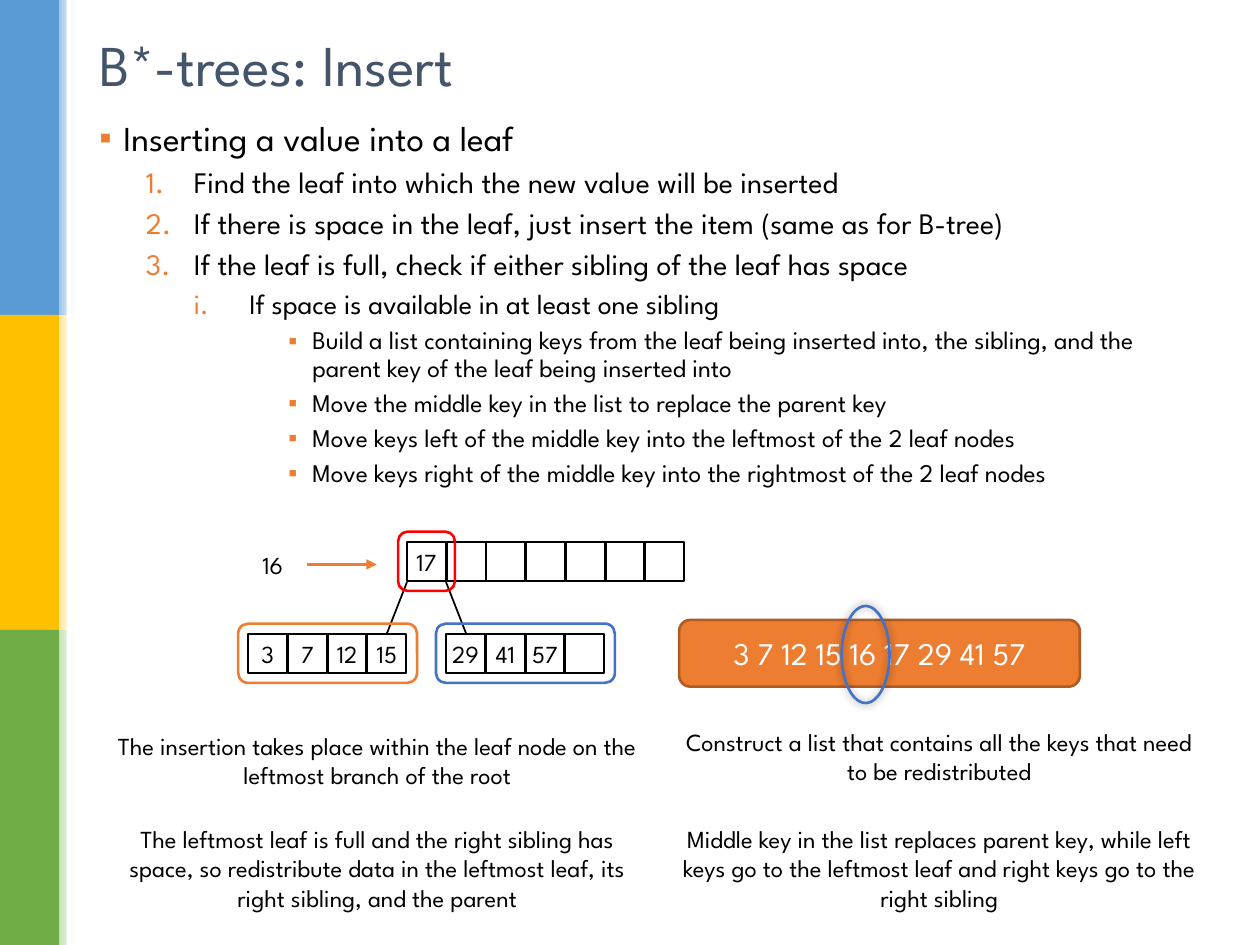
import pptx
import pptx.util
import pptx.dml.color
import pptx.enum.shapes
import pptx.enum.text
import pptx.oxml
import pptx.oxml.ns

Inches, Pt = pptx.util.Inches, pptx.util.Pt
SHAPE = pptx.enum.shapes.MSO_SHAPE
ALIGN = pptx.enum.text.PP_ALIGN
ANCHOR = pptx.enum.text.MSO_ANCHOR

THEME = {
    "font": "League Spartan",
    "title": "44546A", "text": "000000", "light": "FFFFFF",
    "accent": "ED7D31", "accent_dark": "AF5C24", "blue": "4472C4", "red": "FF0000",
    "title_size": 33, "list_size": 18, "small_size": 14,
    "cell_line": 1.25, "branch_line": 1, "mark_line": 1.5,
}

# solid colour, start of its fading edge; top to bottom
SIDEBAR = [("5B9BD5", "9DC3E6"), ("FFC000", "FFE699"), ("70AD47", "C5E0B4")]

TITLE = "B*-trees: Insert"
# outline style, text
OUTLINE = [
    ("topic", "Inserting a value into a leaf"),
    ("step", "Find the leaf into which the new value will be inserted"),
    ("step", "If there is space in the leaf, just insert the item (same as for B-tree)"),
    ("step", "If the leaf is full, check if either sibling of the leaf has space"),
    ("case", "If space is available in at least one sibling"),
    ("action", "Build a list containing keys from the leaf being inserted into, "
               "the sibling, and the parent key of the leaf being inserted into"),
    ("action", "Move the middle key in the list to replace the parent key"),
    ("action", "Move keys left of the middle key into the leftmost of the 2 leaf nodes"),
    ("action", "Move keys right of the middle key into the rightmost of the 2 leaf nodes"),
]
SQUARE = '<a:buFont typeface="Arial"/><a:buChar char="▪"/>'
NUMBER = '<a:buFont typeface="+mj-lt"/><a:buAutoNum type="%s"/>'
# level, left indent, hanging indent, size, bullet
OUTLINE_STYLES = {
    "topic": (0, 0.19, 0.19, 20, SQUARE),
    "step": (1, 0.75, 0.38, 17, NUMBER % "arabicPeriod"),
    "case": (2, 1.19, 0.44, 16, NUMBER % "romanLcPeriod"),
    "action": (4, 1.69, 0.19, 14.5, SQUARE),
}

CELL, PITCH = 0.31, 0.315
ROOT_TOP, LEAF_TOP = 4.3, 5.03
# left, top, keys
NODES = [
    (3.23, ROOT_TOP, ["17"] + [""] * 6),
    (1.97, LEAF_TOP, ["3", "7", "12", "15"]),
    (3.54, LEAF_TOP, ["29", "41", "57", ""]),
]
BRANCHES = [(3.23, 3.07), (3.54, 3.7)]
NEW_KEY = "16"
KEY_LIST = "3 7 12 15 16 17 29 41 57"
# box, colour
HIGHLIGHTS = [
    ((1.89, 4.95, 1.42, 0.47), "accent"),
    ((3.46, 4.95, 1.42, 0.47), "blue"),
    ((3.16, 4.22, 0.45, 0.47), "red"),
]
CAPTIONS = [
    ((0.83, 5.75, 4.33, 0.57),
     "The insertion takes place within the leaf node on the leftmost branch of the root"),
    ((0.83, 6.49, 4.33, 0.81),
     "The leftmost leaf is full and the right sibling has space, so redistribute data "
     "in the leftmost leaf, its right sibling, and the parent"),
    ((5.29, 5.72, 4.33, 0.57),
     "Construct a list that contains all the keys that need to be redistributed"),
    ((5.29, 6.49, 4.33, 0.81),
     "Middle key in the list replaces parent key, while left keys go to the leftmost "
     "leaf and right keys go to the right sibling"),
]


def rgb(colour):
    return pptx.dml.color.RGBColor.from_string(THEME.get(colour, colour))


def xml(tag, body="", attributes=""):
    return pptx.oxml.parse_xml(
        f'<a:{tag} {pptx.oxml.ns.nsdecls("a")} {attributes}>{body}</a:{tag}>')


def write(paragraph, text, size=THEME["small_size"], colour="text", align=ALIGN.CENTER):
    paragraph.alignment = align
    run = paragraph.add_run()
    run.text = text
    run.font.name = THEME["font"]
    run.font.size = Pt(size)
    run.font.color.rgb = rgb(colour)


def add_block(slide, box, kind=SHAPE.RECTANGLE, fill=None, line=None, width=THEME["mark_line"]):
    block = slide.shapes.add_shape(kind, *map(Inches, box))
    block.shadow.inherit = False
    if fill:
        block.fill.solid()
        block.fill.fore_color.rgb = rgb(fill)
    else:
        block.fill.background()
    if line:
        block.line.color.rgb = rgb(line)
        block.line.width = Pt(width)
    else:
        block.line.fill.background()
    return block


def add_text_box(slide, box):
    frame = slide.shapes.add_textbox(*map(Inches, box)).text_frame
    frame.word_wrap = True
    return frame


def add_line(slide, start, end, colour, width):
    line = slide.shapes.add_connector(
        pptx.enum.shapes.MSO_CONNECTOR.STRAIGHT, *map(Inches, (*start, *end)))
    line.line.color.rgb = rgb(colour)
    line.line.width = Pt(width)
    line._element.spPr.append(xml("effectLst"))
    return line


def add_sidebar(slide):
    height = 7.5 / len(SIDEBAR)
    for row, (solid, fade) in enumerate(SIDEBAR):
        add_block(slide, (0, row * height, 0.47, height), fill=solid)
        edge = add_block(slide, (0.47, row * height, 0.12, height))
        edge.fill.gradient()
        edge.fill.gradient_angle = 0
        for stop, colour in zip(edge.fill.gradient_stops, (fade, "light")):
            stop.color.rgb = rgb(colour)
    add_block(slide, (0.53, 0, 0.04, 7.5), fill="light")


def add_title(slide):
    title = slide.shapes.title
    title.left, title.top, title.width, title.height = map(Inches, (0.69, 0.16, 8.62, 0.68))
    title.text_frame.vertical_anchor = ANCHOR.MIDDLE
    title.text_frame.auto_size = pptx.enum.text.MSO_AUTO_SIZE.NONE
    write(title.text_frame.paragraphs[0], TITLE, THEME["title_size"], "title", ALIGN.LEFT)


def add_outline(slide):
    frame = add_text_box(slide, (0.69, 0.91, 8.92, 6.41))
    for i, (style, text) in enumerate(OUTLINE):
        level, indent, hanging, size, bullet = OUTLINE_STYLES[style]
        paragraph = frame.add_paragraph() if i else frame.paragraphs[0]
        write(paragraph, text, size, align=ALIGN.LEFT)
        paragraph.level = level
        props = paragraph._p.get_or_add_pPr()
        props.set("marL", str(Inches(indent)))
        props.set("indent", str(-Inches(hanging)))
        props.append(xml("lnSpc", '<a:spcPct val="90000"/>'))
        props.append(xml("spcBef", '<a:spcPct val="30000"/>'))
        props.append(xml("buClr", f'<a:srgbClr val="{THEME["accent"]}"/>'))
        for part in xml("pPr", bullet):
            props.append(part)


def add_tree(slide):
    for left, top, keys in NODES:
        for i, key in enumerate(keys):
            cell = add_block(slide, (left + i * PITCH, top, CELL, CELL),
                             line="text", width=THEME["cell_line"])
            if key:
                frame = cell.text_frame
                frame.margin_left = frame.margin_right = 0
                frame.vertical_anchor = ANCHOR.MIDDLE
                write(frame.paragraphs[0], key)
    for root_x, leaf_x in BRANCHES:
        add_line(slide, (root_x, 4.62), (leaf_x, LEAF_TOP), "text", THEME["branch_line"])
    arrow = add_line(slide, (2.44, 4.48), (2.99, 4.48), "accent", THEME["mark_line"])
    arrow.line._get_or_add_ln().append(xml("tailEnd", attributes='type="triangle"'))
    write(add_text_box(slide, (1.85, 4.32, 0.63, 0.34)).paragraphs[0], NEW_KEY)


def add_key_list(slide):
    key_list = add_block(slide, (5.39, 4.92, 3.18, 0.53), SHAPE.ROUNDED_RECTANGLE,
                         "accent", "accent_dark")
    key_list.text_frame.vertical_anchor = ANCHOR.MIDDLE
    write(key_list.text_frame.paragraphs[0], KEY_LIST, THEME["list_size"], "light")
    middle = add_block(slide, (6.68, 4.81, 0.38, 0.77), SHAPE.OVAL, line="blue")
    middle._element.spPr.find(pptx.oxml.ns.qn("a:effectLst")).append(xml(
        "outerShdw", '<a:srgbClr val="000000"><a:alpha val="40000"/></a:srgbClr>',
        f'blurRad="{Pt(5)}" dist="0" dir="0" rotWithShape="0"'))


def main():
    deck = pptx.Presentation()
    deck.slide_width, deck.slide_height = Inches(10), Inches(7.5)
    slide = deck.slides.add_slide(deck.slide_layouts[5])
    add_sidebar(slide)
    add_title(slide)
    add_outline(slide)
    add_tree(slide)
    add_key_list(slide)
    for box, text in CAPTIONS:
        write(add_text_box(slide, box).paragraphs[0], text)
    for box, colour in HIGHLIGHTS:
        add_block(slide, box, SHAPE.ROUNDED_RECTANGLE, line=colour)
    deck.save("out.pptx")


if __name__ == "__main__":
    main()
